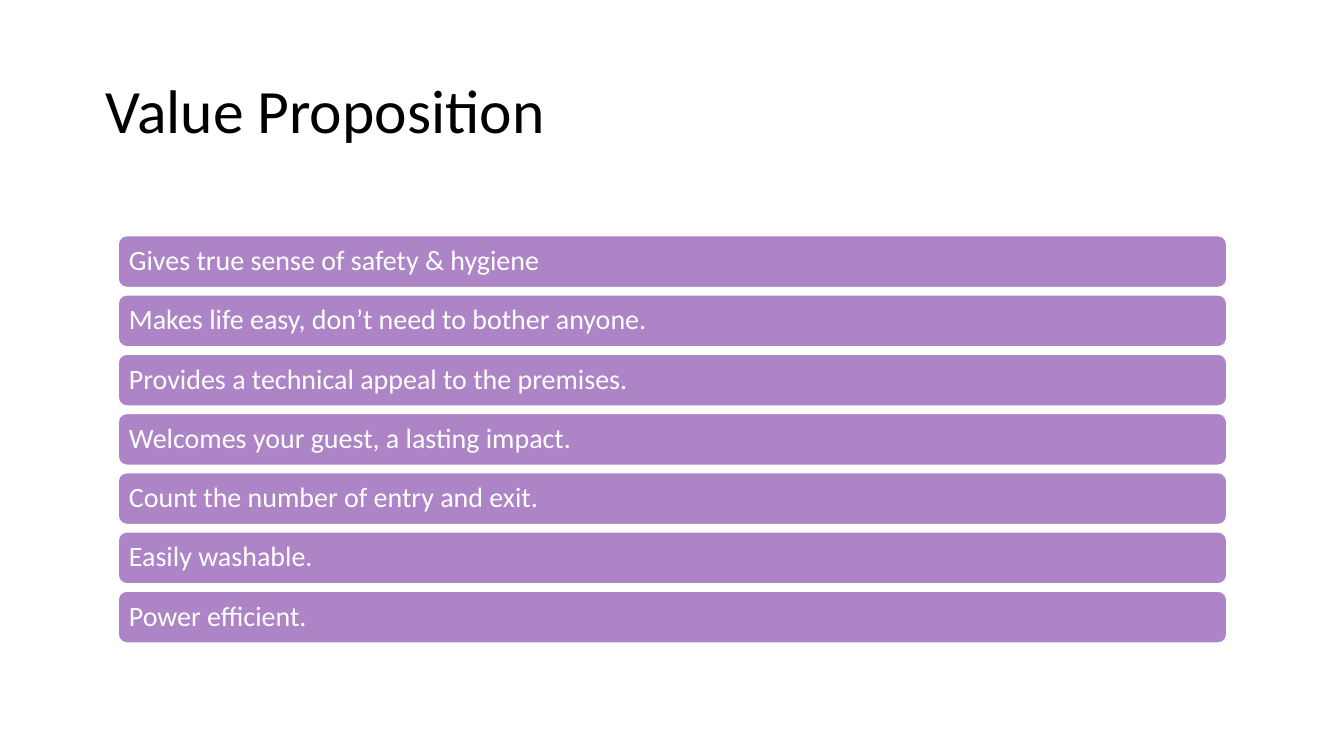
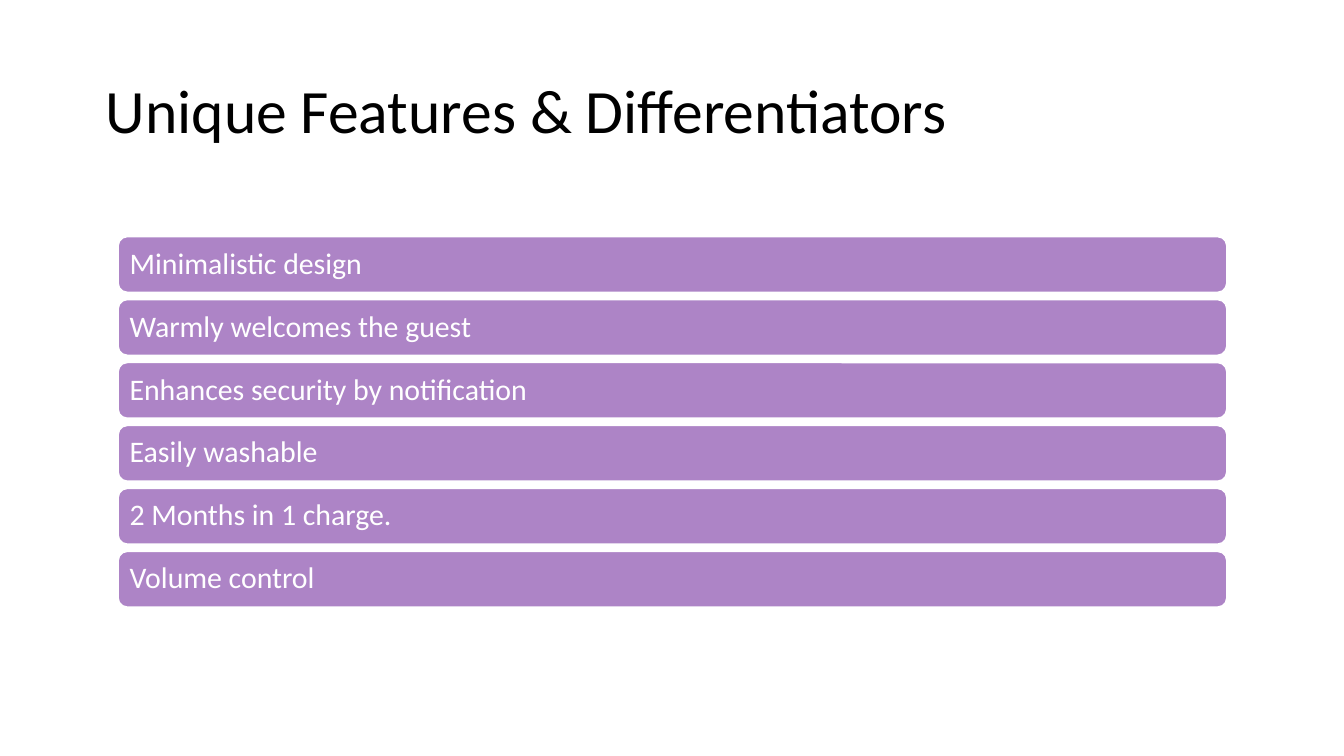
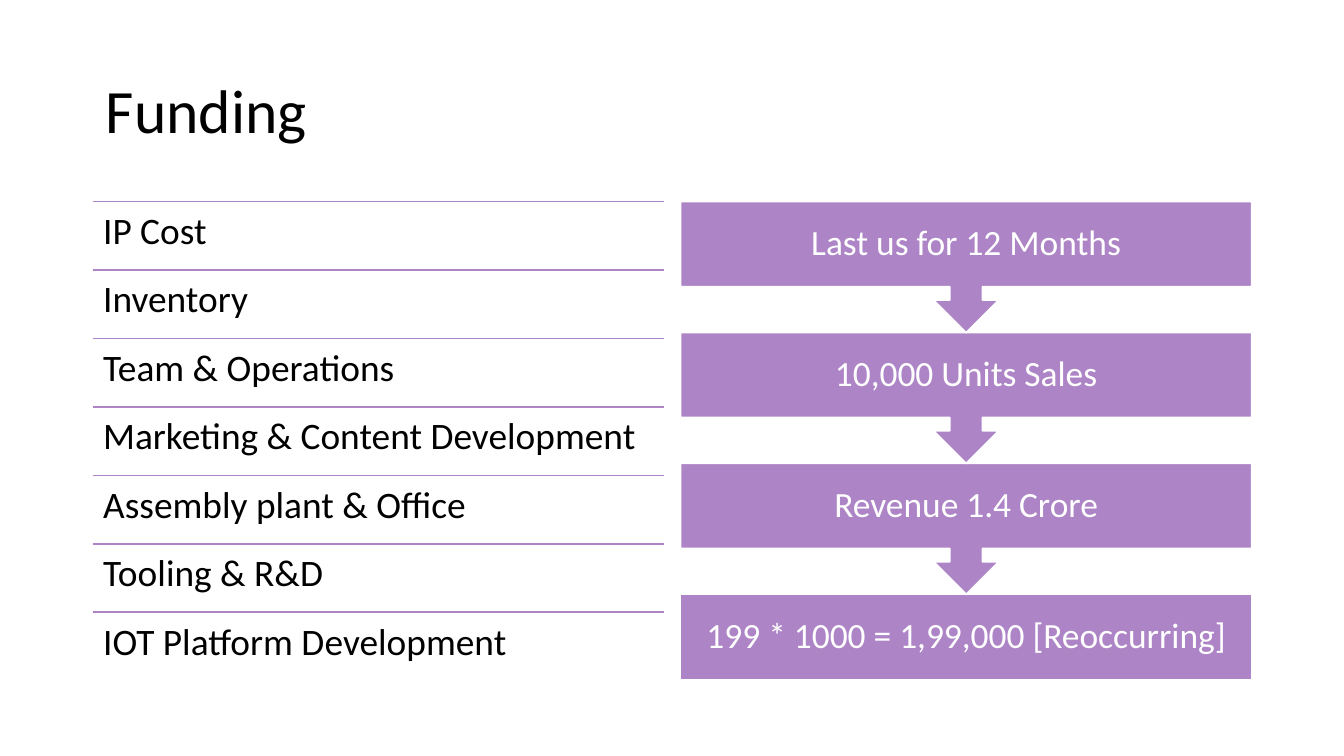
from dataclasses import dataclass

from lxml import etree
from pptx import Presentation
from pptx.dml.color import RGBColor
from pptx.enum.shapes import MSO_CONNECTOR as Connector, MSO_SHAPE as Preset
from pptx.enum.text import MSO_ANCHOR as Anchor, PP_ALIGN as Align
from pptx.oxml.ns import qn
from pptx.util import Cm, Pt


@dataclass(frozen=True)
class Theme:
    font: str = "Calibri"
    ink: RGBColor = RGBColor(0x00, 0x00, 0x00)
    paper: RGBColor = RGBColor(0xFF, 0xFF, 0xFF)
    accent: RGBColor = RGBColor(0xAD, 0x84, 0xC6)
    title: int = 33
    cost: int = 20
    milestone: int = 19
    line: int = 1
    leading: float = 0.9


@dataclass(frozen=True)
class Box:
    """A region of the slide, in centimetres."""
    left: float
    top: float
    width: float
    height: float

    def emu(self):
        return [Cm(side) for side in (self.left, self.top, self.width, self.height)]


THEME = Theme()
TITLE_BOX = Box(1.75, 0.76, 21.9, 2.76)
COSTS_BOX = Box(1.75, 3.81, 10.8, 9.06)
MILESTONES_BOX = Box(12.86, 3.81, 10.8, 9.05)


def write(shape, text, *, size, color=THEME.ink, align=Align.LEFT,
          anchor=Anchor.MIDDLE, inset=(0.25, 0.13)):
    """Fill a shape with one paragraph; inset is (sides, top and bottom) in cm."""
    frame = shape.text_frame
    frame.word_wrap = True
    frame.vertical_anchor = anchor
    frame.margin_left = frame.margin_right = Cm(inset[0])
    frame.margin_top = frame.margin_bottom = Cm(inset[1])
    paragraph = frame.paragraphs[0]
    paragraph.text = text
    paragraph.alignment = align
    paragraph.line_spacing = THEME.leading
    font = paragraph.runs[0].font
    font.name, font.size, font.color.rgb = THEME.font, Pt(size), color


def add_panel(slide, preset, box, text, **text_format):
    panel = slide.shapes.add_shape(preset, *box.emu())
    panel.shadow.inherit = False
    panel.fill.solid()
    panel.fill.fore_color.rgb = THEME.accent
    panel.line.color.rgb = THEME.paper
    panel.line.width = Pt(THEME.line)
    write(panel, text, color=THEME.paper, **text_format)


def add_rule(slide, left, top, width):
    rule = slide.shapes.add_connector(
        Connector.STRAIGHT, Cm(left), Cm(top), Cm(left + width), Cm(top))
    rule.line.color.rgb = THEME.accent
    rule.line.width = Pt(THEME.line)
    etree.SubElement(rule._element.spPr, qn("a:effectLst"))


def add_titled_slide(deck, title):
    slide = deck.slides.add_slide(deck.slide_layouts[6])
    write(slide.shapes.add_textbox(*TITLE_BOX.emu()), title, size=THEME.title)
    return slide


def add_benefit_bars(slide, first_bar, pitch, benefits, size, inset):
    for row, benefit in enumerate(benefits):
        bar = Box(first_bar.left, first_bar.top + row * pitch,
                  first_bar.width, first_bar.height)
        add_panel(slide, Preset.ROUNDED_RECTANGLE, bar, benefit,
                  size=size, inset=(inset, inset))


def add_ruled_costs(slide, box, costs):
    row_height = box.height / len(costs)
    for row, cost in enumerate(costs):
        top = box.top + row * row_height
        add_rule(slide, box.left, top, box.width)
        label = slide.shapes.add_textbox(
            *Box(box.left, top, box.width, row_height).emu())
        write(label, cost, size=THEME.cost, anchor=Anchor.TOP, inset=(0.2, 0.2))


def add_milestone_flow(slide, box, milestones):
    """Stack arrow callouts that end in a plain panel, the last one at the back."""
    panel_height, callout_height = 1.63, 2.48
    last = len(milestones) - 1
    pitch = (box.height - panel_height) / last
    for step in range(last, -1, -1):
        is_last = step == last
        add_panel(slide,
                  Preset.RECTANGLE if is_last else Preset.DOWN_ARROW_CALLOUT,
                  Box(box.left, box.top + step * pitch, box.width,
                      panel_height if is_last else callout_height),
                  milestones[step], size=THEME.milestone,
                  align=Align.CENTER, inset=(0.38, 0.38))


def build_value_proposition(deck):
    slide = add_titled_slide(deck, "Value Proposition")
    add_benefit_bars(slide, Box(2.23, 4.45, 20.96, 0.99), 1.12, [
        "Gives true sense of safety & hygiene",
        "Makes life easy, don’t need to bother anyone.",
        "Provides a technical appeal to the premises.",
        "Welcomes your guest, a lasting impact.",
        "Count the number of entry and exit.",
        "Easily washable.",
        "Power efficient.",
    ], size=15, inset=0.16)


def build_unique_features(deck):
    slide = add_titled_slide(deck, "Unique Features & Differentiators")
    add_benefit_bars(slide, Box(2.23, 4.47, 20.96, 1.06), 1.19, [
        "Minimalistic design",
        "Warmly welcomes the guest",
        "Enhances security by notification",
        "Easily washable",
        "2 Months in 1 charge.",
        "Volume control",
    ], size=16, inset=0.17)


def build_funding(deck):
    slide = add_titled_slide(deck, "Funding")
    add_ruled_costs(slide, COSTS_BOX, [
        "IP Cost",
        "Inventory",
        "Team & Operations",
        "Marketing & Content Development",
        "Assembly plant & Office",
        "Tooling & R&D",
        "IOT Platform Development",
    ])
    add_milestone_flow(slide, MILESTONES_BOX, [
        "Last us for 12 Months",
        "10,000 Units Sales",
        "Revenue 1.4 Crore",
        "199 * 1000 = 1,99,000 [Reoccurring]",
    ])


def main():
    deck = Presentation()
    deck.slide_width, deck.slide_height = Cm(25.4), Cm(14.29)
    build_value_proposition(deck)
    build_unique_features(deck)
    build_funding(deck)
    deck.save("out.pptx")


if __name__ == "__main__":
    main()
